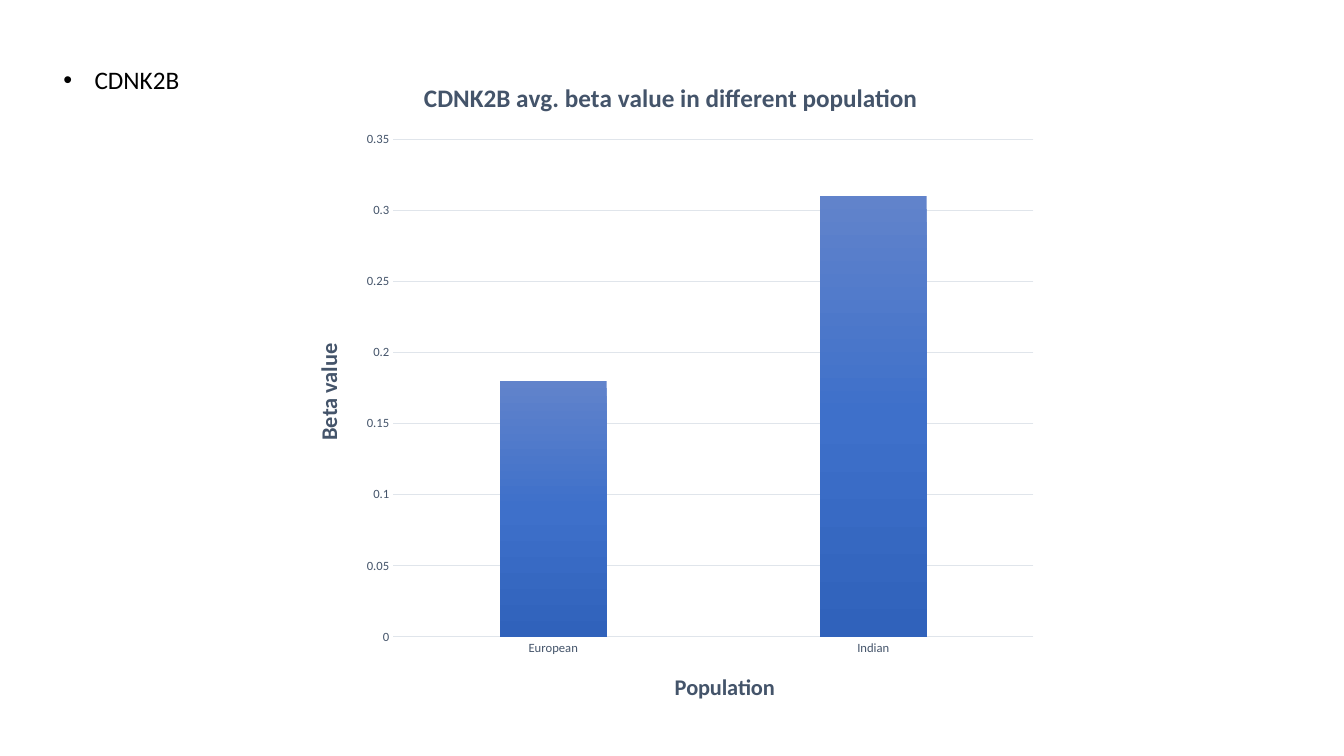
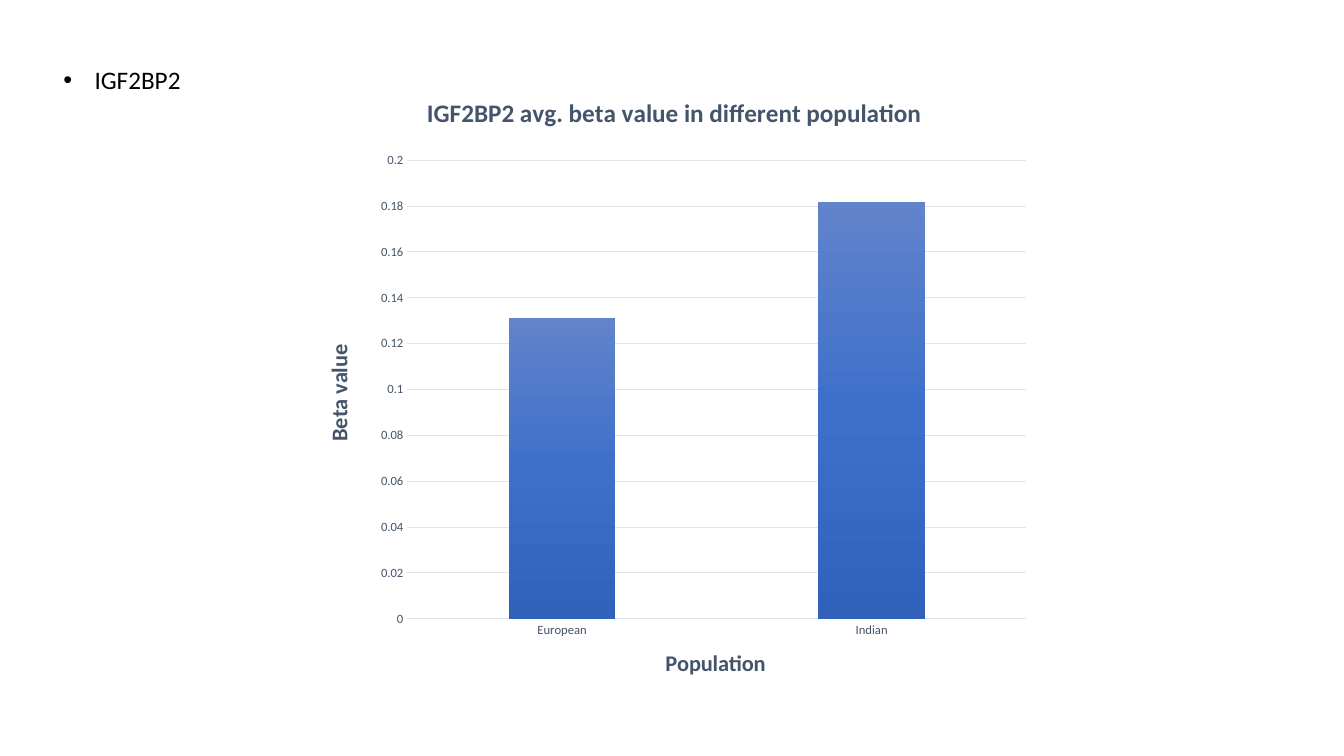
from copy import deepcopy

from lxml import etree
from pptx import Presentation
from pptx import util as u
from pptx.chart.data import CategoryChartData
from pptx.dml.color import RGBColor
from pptx.enum import chart as charts, text
from pptx.oxml.ns import qn

# Shared look
COLORS = {
    "text": "000000",
    "label": "44546A",
    "grid": "E0E5EB",
    "bar_top": "6183CB",
    "bar_middle": "3E70CA",
    "bar_bottom": "3062BB",
}
FONT = "Calibri"
BAR_STOPS = [(0, "bar_top"), (0.5, "bar_middle"), (1, "bar_bottom")]
BULLET_BOX = (0.53, 0.59, 2.93, 0.4)
CATEGORIES = ["European", "Indian"]

# Content: boxes and title corners in inches on the slide
GENES = [
    {
        "name": "CDNK2B", "values": [0.18, 0.31],
        "chart_box": (2.91, 0.59, 7.5, 6.61), "plot_box": (3.9, 1.38, 6.35, 4.94),
        "title_at": (4.16, 0.75), "population_at": (6.65, 6.63), "beta_at": (3.07, 3.37),
        "maximum": 0.35, "step": 0.05, "gap": 200, "overlap": -24,
    },
    {
        "name": "IGF2BP2", "values": [0.131, 0.182],
        "chart_box": (2.96, 0.72, 7.45, 6.45), "plot_box": (4.04, 1.59, 6.14, 4.55),
        "title_at": (4.19, 0.9), "population_at": (6.56, 6.39), "beta_at": (3.17, 3.38),
        "maximum": 0.2, "step": 0.02, "gap": 190, "overlap": -30,
    },
]


def rgb(name):
    return RGBColor.from_string(COLORS[name])


def set_attributes(target, values):
    for name, value in values.items():
        setattr(target, name, value)


def style_font(font, size, color, bold=False):
    set_attributes(font, {"name": FONT, "size": u.Pt(size), "bold": bold})
    font.color.rgb = rgb(color)


def style_line(line):
    line.color.rgb = rgb("grid")
    line.width = u.Pt(0.75)


def add_bullet(slide, words):
    shape = slide.shapes.add_textbox(*map(u.Inches, BULLET_BOX))
    frame = shape.text_frame
    set_attributes(frame, {"word_wrap": True,
                           "auto_size": text.MSO_AUTO_SIZE.SHAPE_TO_FIT_TEXT})
    paragraph = frame.paragraphs[0]
    properties = paragraph._p.get_or_add_pPr()
    indent = u.Inches(0.31)
    properties.set("marL", str(indent))
    properties.set("indent", str(-indent))
    etree.SubElement(properties, qn("a:buFont"), typeface="Arial")
    etree.SubElement(properties, qn("a:buChar"), char="•")
    run = paragraph.add_run()
    run.text = words
    style_font(run.font, 18, "text")


def place(element, index, chart_box, box):
    """Fix a chart part at a slide position, with a size if the box has one."""
    layout = element.find(qn("c:layout"))
    if layout is None:
        layout = etree.Element(qn("c:layout"))
        element.insert(index, layout)
    manual = etree.SubElement(layout, qn("c:manualLayout"))
    left, top, width, height = chart_box
    fractions = [(box[0] - left) / width, (box[1] - top) / height]
    if len(box) == 4:
        etree.SubElement(manual, qn("c:layoutTarget"), val="inner")
        fractions += [box[2] / width, box[3] / height]
    for mode in ("xMode", "yMode"):
        etree.SubElement(manual, qn(f"c:{mode}"), val="edge")
    for side, fraction in zip("xywh", fractions):
        etree.SubElement(manual, qn(f"c:{side}"), val=f"{fraction:.4f}")


def write_title(title, words, size, chart_box, corner):
    paragraph = title.text_frame.paragraphs[0]
    run = paragraph.add_run()
    run.text = words
    style_font(run.font, size, "label", bold=True)
    place(title._element, 1, chart_box, corner)


def style_axis(axis):
    set_attributes(axis, {"major_tick_mark": charts.XL_TICK_MARK.NONE,
                          "minor_tick_mark": charts.XL_TICK_MARK.NONE})
    style_font(axis.tick_labels.font, 9, "label")


def fill_bars(series):
    fill = series.format.fill
    fill.gradient()
    fill.gradient_angle = 270
    stops = series._element.find(".//" + qn("a:gsLst"))
    stops.append(deepcopy(stops[0]))
    for stop, (position, color) in zip(fill.gradient_stops, BAR_STOPS):
        stop.position = position
        stop.color.rgb = rgb(color)


def add_beta_chart(slide, gene):
    data = CategoryChartData()
    data.categories = CATEGORIES
    data.add_series("Series 1", gene["values"])
    box = gene["chart_box"]
    chart = slide.shapes.add_chart(
        charts.XL_CHART_TYPE.COLUMN_CLUSTERED, *map(u.Inches, box), data).chart
    set_attributes(chart, {"has_legend": False, "has_title": True})
    style_font(chart.font, 10, "text")

    # Bars
    plot = chart.plots[0]
    set_attributes(plot, {"vary_by_categories": False, "gap_width": gene["gap"],
                          "overlap": gene["overlap"]})
    fill_bars(plot.series[0])
    place(chart._chartSpace.find(".//" + qn("c:plotArea")), 0, box, gene["plot_box"])

    # Axes
    population, beta = chart.category_axis, chart.value_axis
    for axis in (population, beta):
        style_axis(axis)
    style_line(population.format.line)
    set_attributes(beta, {"minimum_scale": 0, "maximum_scale": gene["maximum"],
                          "major_unit": gene["step"], "has_major_gridlines": True})
    beta.format.line.fill.background()
    style_line(beta.major_gridlines.format.line)

    # Titles
    write_title(chart.chart_title, f"{gene['name']} avg. beta value in different population",
                18, box, gene["title_at"])
    write_title(population.axis_title, "Population", 16, box, gene["population_at"])
    write_title(beta.axis_title, "Beta value", 16, box, gene["beta_at"])
    body = beta.axis_title._element.find(".//" + qn("a:bodyPr"))
    body.set("rot", "-5400000")
    body.set("vert", "horz")


def main():
    presentation = Presentation()
    set_attributes(presentation, {"slide_width": u.Inches(13.33),
                                  "slide_height": u.Inches(7.5)})
    for gene in GENES:
        slide = presentation.slides.add_slide(presentation.slide_layouts[6])
        add_bullet(slide, gene["name"])
        add_beta_chart(slide, gene)
    presentation.save("out.pptx")


if __name__ == "__main__":
    main()
